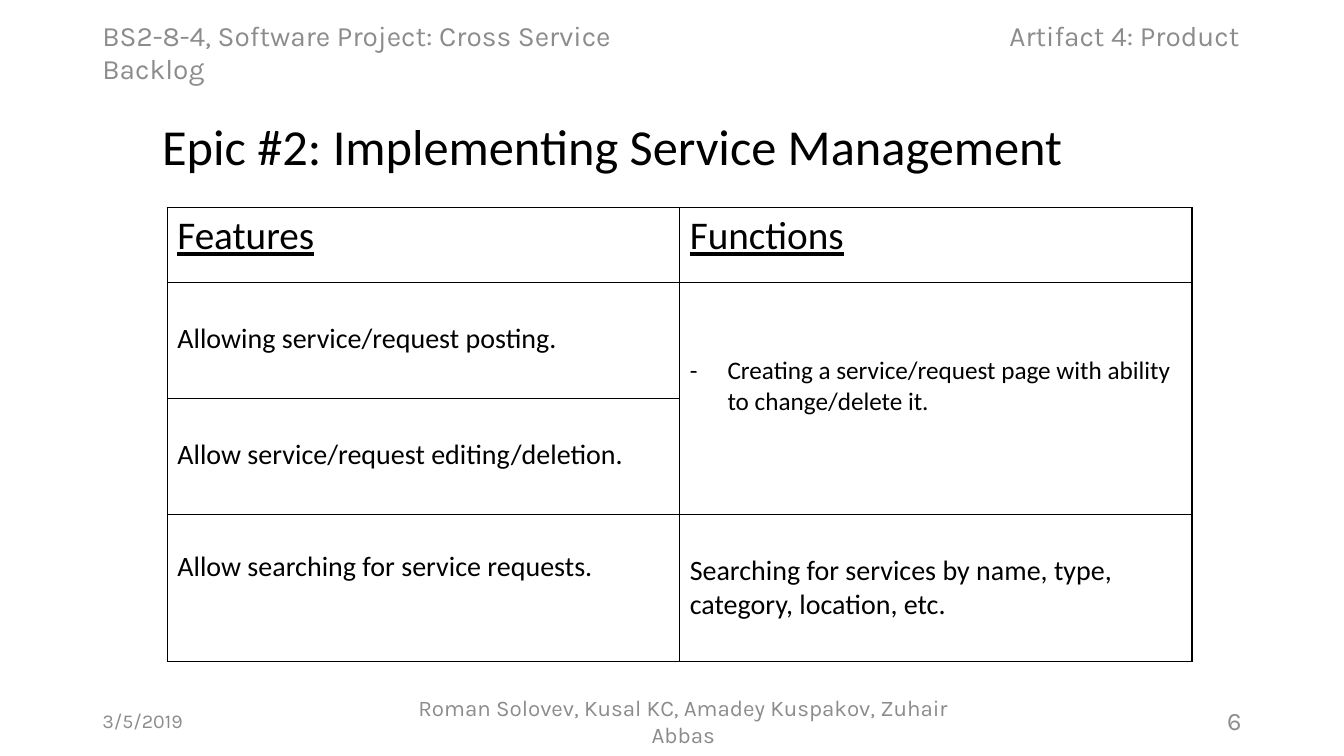
from dataclasses import dataclass
from lxml import etree
from pptx import Presentation
from pptx.dml.color import RGBColor
from pptx.enum import text
from pptx.oxml import ns
from pptx.util import Pt


@dataclass(frozen=True)
class Theme:
    ink: str = "000000"
    grey: str = "8C8C8C"
    page: str = "FFFFFF"
    body: str = "Calibri"
    edge: str = "Karla"
    title: int = 36
    head: int = 28
    cell: int = 20
    item: int = 18
    crew: int = 16
    date: int = 14


T = Theme()
LEFT, MID, RIGHT = text.PP_ALIGN.LEFT, text.PP_ALIGN.CENTER, text.PP_ALIGN.RIGHT
LINE = 1.22


def add_tag(parent, tag, **attrs):
    return etree.SubElement(parent, ns.qn(tag), attrs)


def add_run(para, words, size, font, color, under=False):
    run = para.add_run()
    run.text = words
    run.font.size = Pt(size)
    run.font.name = font
    run.font.color.rgb = RGBColor.from_string(color)
    run.font.underline = under


def add_text(slide, box, words, size, font, color, align=LEFT, anchor=text.MSO_ANCHOR.MIDDLE):
    frame = slide.shapes.add_textbox(*map(Pt, box)).text_frame
    frame.word_wrap = True
    frame.vertical_anchor = anchor
    para = frame.paragraphs[0]
    para.alignment = align
    add_run(para, words, size, font, color)
    return para


def add_header(slide, box):
    words = "BS2-8-4, Software Project: Cross Service\tArtifact 4: Product Backlog"
    para = add_text(slide, box, words, T.cell, T.edge, T.grey)
    stops = add_tag(para._p.get_or_add_pPr(), "a:tabLst")
    add_tag(stops, "a:tab", pos=str(Pt(648)), algn="l")


def add_title(slide, box):
    para = add_text(slide, box, "Epic #2: Implementing Service Management",
                    T.title, T.body, T.ink, anchor=text.MSO_ANCHOR.BOTTOM)
    para.line_spacing = 0.9


def add_footer(slide, box):
    left, top, width, height = box
    side, crew = 216, 436
    names = "Roman Solovev, Kusal KC, Amadey Kuspakov, Zuhair Abbas"
    for shift, span, words, size, align in (
        (0, side, "3/5/2019", T.date, LEFT),
        (204, crew, names, T.crew, MID),
        (width - side, side, "6", T.item, RIGHT),
    ):
        add_text(slide, (left + shift, top, span, height), words, size, T.edge, T.grey, align)


def add_rules(cell):
    props = cell._tc.get_or_add_tcPr()
    for spot, side in enumerate(("a:lnL", "a:lnR", "a:lnT", "a:lnB")):
        rule = etree.Element(ns.qn(side), w=str(Pt(1)))
        add_tag(add_tag(rule, "a:solidFill"), "a:srgbClr", val=T.ink)
        props.insert(spot, rule)


def add_dash(para):
    props = para._p.get_or_add_pPr()
    props.set("marL", str(Pt(27)))
    props.set("indent", str(Pt(-27)))
    add_tag(props, "a:buFont", typeface=T.body)
    add_tag(props, "a:buChar", char="-")


def add_table(slide, box):
    gap = T.cell * LINE
    rows = (
        (53.6, ("Features", T.head, 0), ("Functions", T.head, 0)),
        (82.8, ("Allowing service/request posting.", T.cell, gap),
         ("Creating a service/request page with ability to change/delete it.", T.item, 2 * gap)),
        (82.8, ("Allow service/request editing/deletion.", T.cell, gap), None),
        (105, ("Allow searching for service requests.", T.cell, T.item * LINE),
         ("Searching for services by name, type, category, location, etc.", T.cell, gap)),
    )
    table = slide.shapes.add_table(len(rows), 2, *map(Pt, box)).table
    table.first_row = table.horz_banding = False
    for col in table.columns:
        col.width = Pt(box[2] / 2)
    for r, (height, *parts) in enumerate(rows):
        table.rows[r].height = Pt(height)
        for c, part in enumerate(parts):
            cell = table.cell(r, c)
            cell.fill.solid()
            cell.fill.fore_color.rgb = RGBColor.from_string(T.page)
            add_rules(cell)
            if part:
                words, size, drop = part
                cell.margin_top = Pt(3.6 + drop)
                para = cell.text_frame.paragraphs[0]
                add_run(para, words, size, T.body, T.ink, under=size == T.head)
                if size == T.item:
                    add_dash(para)
    table.cell(1, 1).merge(table.cell(2, 1))


deck = Presentation()
deck.slide_width, deck.slide_height = Pt(960), Pt(540)
slide = deck.slides.add_slide(deck.slide_layouts[6])
add_footer(slide, (66, 500.5, 828, 28.8))
add_header(slide, (66, 10.8, 828, 52.6))
add_title(slide, (108.7, 60.5, 720, 69))
add_table(slide, (119.5, 148.2, 732, 324.2))
deck.save("out.pptx")
